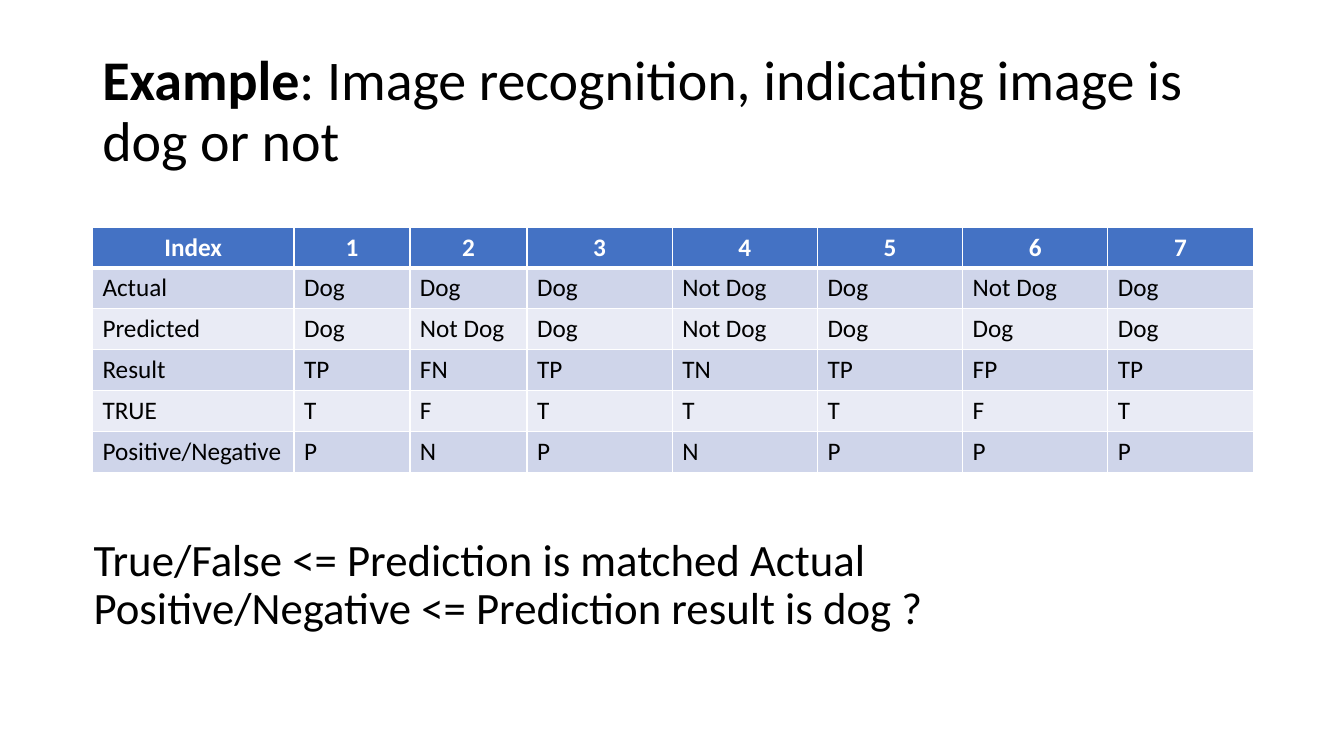
import pptx
import pptx.dml.color
import pptx.enum.text
import pptx.oxml
import pptx.oxml.ns
import pptx.util
from pptx.util import Cm

FONT = "Calibri"
BLACK, WHITE = "000000", "FFFFFF"
HEADER_FILL = "4472C4"
BAND_FILLS = ["CFD5EA", "E9EBF5"]

RESULTS = [
    ["Index", "1", "2", "3", "4", "5", "6", "7"],
    ["Actual", "Dog", "Dog", "Dog", "Not Dog", "Dog", "Not Dog", "Dog"],
    ["Predicted", "Dog", "Not Dog", "Dog", "Not Dog", "Dog", "Dog", "Dog"],
    ["Result", "TP", "FN", "TP", "TN", "TP", "FP", "TP"],
    ["TRUE", "T", "F", "T", "T", "T", "F", "T"],
    ["Positive/Negative", "P", "N", "P", "N", "P", "P", "P"],
]
COLUMN_WIDTHS = [5.08, 2.92, 2.95] + [3.66] * 5


def color(value):
    return pptx.dml.color.RGBColor.from_string(value)


def style(font, size, value):
    font.name = FONT
    font.size = pptx.util.Pt(size)
    font.color.rgb = color(value)


def add_text(page, box, paragraphs, size):
    """Each paragraph is a list of (text, bold) spans."""
    frame = page.shapes.add_textbox(*map(Cm, box)).text_frame
    frame.word_wrap = True
    frame.vertical_anchor = pptx.enum.text.MSO_ANCHOR.MIDDLE
    for index, spans in enumerate(paragraphs):
        para = frame.paragraphs[0] if index == 0 else frame.add_paragraph()
        para.line_spacing = 0.9
        style(para.font, size, BLACK)
        for text, bold in spans:
            span = para.add_run()
            span.text = text
            span.font.bold = bold


def set_borders(cell, top, bottom):
    """White borders, with top and bottom widths in points."""
    properties = cell._tc.get_or_add_tcPr()
    for side, width in [("L", 1), ("R", 1), ("T", top), ("B", bottom)]:
        properties.append(pptx.oxml.parse_xml(
            f'<a:ln{side} {pptx.oxml.ns.nsdecls("a")} w="{pptx.util.Pt(width)}">'
            f'<a:solidFill><a:srgbClr val="{WHITE}"/></a:solidFill></a:ln{side}>'))


def add_results_table(page, box):
    left, top, width, height = map(Cm, box)
    table = page.shapes.add_table(
        len(RESULTS), len(COLUMN_WIDTHS), left, top, width, height).table
    for column, column_width in zip(table.columns, COLUMN_WIDTHS):
        column.width = Cm(column_width)
    for r, values in enumerate(RESULTS):
        header = r == 0
        for c, value in enumerate(values):
            cell = table.cell(r, c)
            set_borders(cell, 3 if r == 1 else 1, 3 if header else 1)
            cell.fill.solid()
            cell.fill.fore_color.rgb = color(
                HEADER_FILL if header else BAND_FILLS[(r - 1) % 2])
            cell.text = value
            para = cell.text_frame.paragraphs[0]
            style(para.font, 18, WHITE if header else BLACK)
            para.font.bold = header
            if header:
                para.alignment = pptx.enum.text.PP_ALIGN.CENTER


def main():
    deck = pptx.Presentation()
    deck.slide_width, deck.slide_height = Cm(33.87), Cm(19.05)
    page = deck.slides.add_slide(deck.slide_layouts[6])

    # Title
    add_text(page, (2.33, 1.01, 29.21, 3.68), [
        [("Example", True),
         (": Image recognition, indicating image is dog or not", False)],
    ], 40)

    # Predictions against actual values
    add_results_table(page, (2.33, 5.72, sum(COLUMN_WIDTHS), 6.18))

    # Reading guide
    add_text(page, (2.11, 12.93, 29.21, 3.68), [
        [("True/False <= Prediction is matched Actual", False)],
        [("Positive/Negative <= Prediction result is dog ?", False)],
    ], 32)

    deck.save("out.pptx")


if __name__ == "__main__":
    main()
